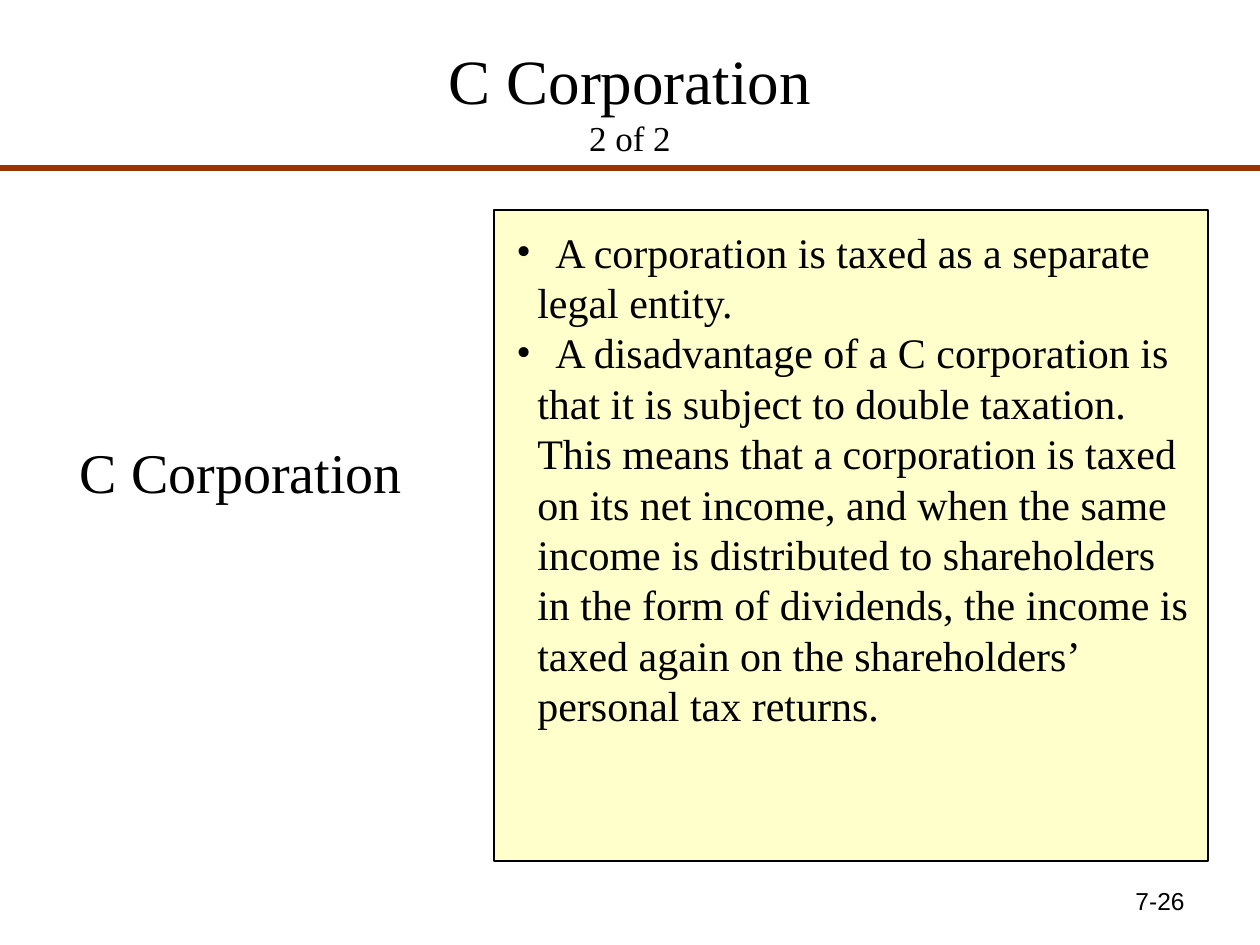
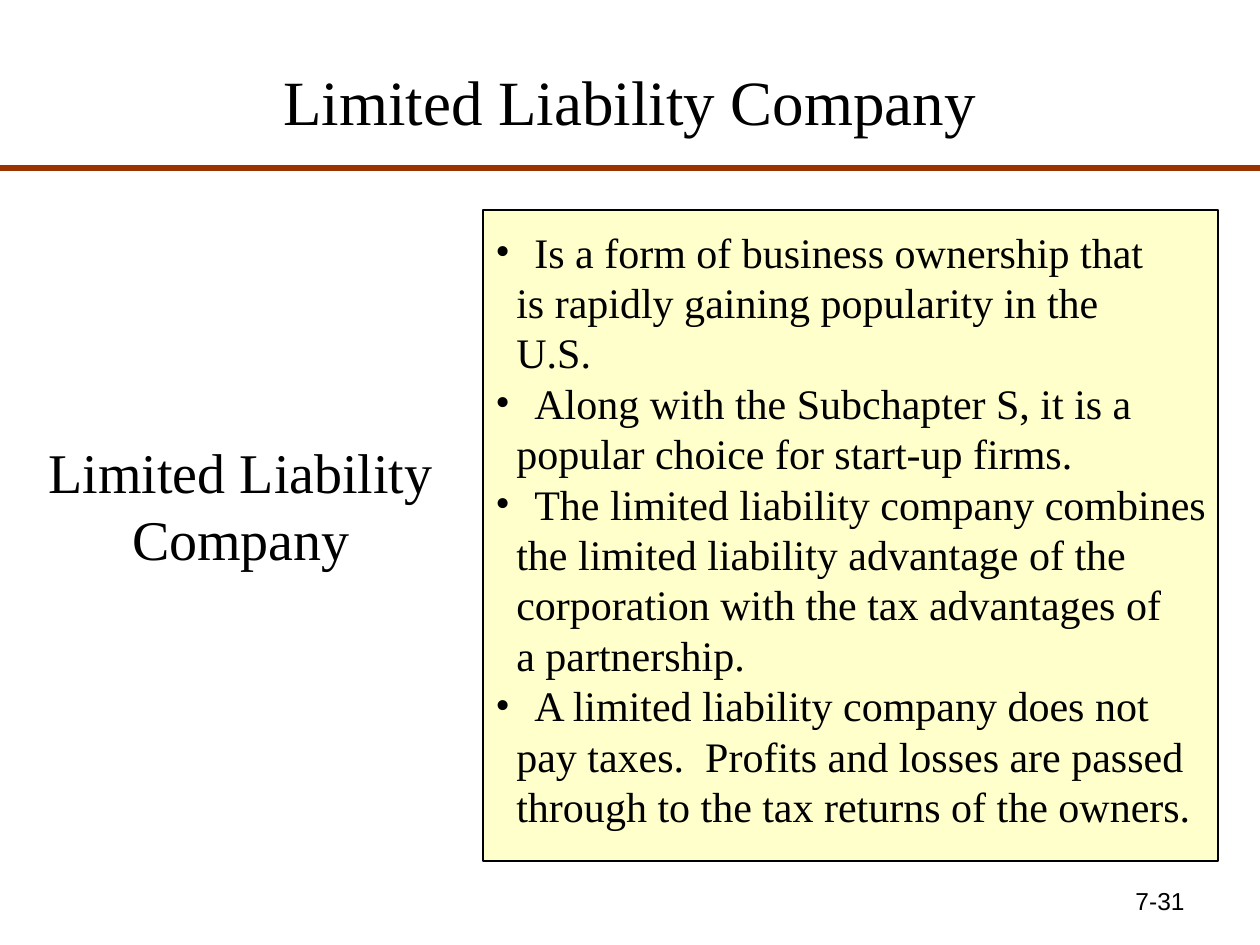
from pptx import Presentation
from pptx.dml.color import RGBColor as RGB
from pptx.enum.shapes import MSO_CONNECTOR as CONNECTOR, MSO_SHAPE as SHAPE
from pptx.enum.text import MSO_ANCHOR as ANCHOR, PP_ALIGN as ALIGN
from pptx.oxml.ns import qn
from pptx.util import Emu, Pt
from lxml.etree import SubElement

COLORS = {"ink": "000000", "rule": "993300", "panel": "FFFFCC"}
SERIF, SANS = "Times New Roman", "Arial"
EMU_PER_PX = 914400 / 126
HANG, BULLET_HANG = 21, 39


def px(length):
    """Turn pixels into EMU."""
    return Emu(round(length * EMU_PER_PX))


class Deck:
    """Hold the style and the slide being built."""

    def __init__(self):
        """Start a 10 by 7.5 inch presentation."""
        self.prs = Presentation()
        self.prs.slide_width, self.prs.slide_height = px(1260), px(945)
        self.slide = None

    def new_slide(self):
        """Add a blank slide and make it current."""
        self.slide = self.prs.slides.add_slide(self.prs.slide_layouts[6])

    def frame(self, x, y, w, h, anchor=ANCHOR.TOP):
        """Add a wrapping text box and return its text frame."""
        frame = self.slide.shapes.add_textbox(px(x), px(y), px(w), px(h)).text_frame
        frame.word_wrap = True
        frame.vertical_anchor = anchor
        return frame

    def paragraph(self, frame, text, size, align=ALIGN.LEFT, font=SERIF, hang=0, bullet=False):
        """Add one paragraph, using the empty first one if it is free."""
        first = frame.paragraphs[0]
        line = frame.add_paragraph() if first.runs else first
        line.alignment = align
        line.line_spacing = Pt(size * 1.2)
        props = line._p.get_or_add_pPr()
        props.set("marL", str(px(hang)))
        props.set("indent", str(-px(hang) if bullet else 0))
        if bullet:
            SubElement(props, qn("a:buFont")).set("typeface", SERIF)
            SubElement(props, qn("a:buChar")).set("char", "•")
        run = line.add_run()
        run.text = text
        run.font.size = Pt(size)
        run.font.name = font
        run.font.color.rgb = RGB.from_string(COLORS["ink"])

    def title(self, heading, part=None):
        """Add the centred title, with an optional part count below it."""
        frame = self.frame(63, 21, 1134, 158, ANCHOR.MIDDLE)
        self.paragraph(frame, heading, 36, ALIGN.CENTER)
        if part:
            self.paragraph(frame, part, 20, ALIGN.CENTER)

    def rule(self):
        """Draw the line under the title."""
        rule = self.slide.shapes.add_connector(
            CONNECTOR.STRAIGHT, px(0), px(168), px(1260), px(168))
        rule.line.color.rgb = RGB.from_string(COLORS["rule"])
        rule.line.width = Pt(3)
        SubElement(rule._element.spPr, qn("a:effectLst"))

    def topic(self, text, height):
        """Add the large topic name on the left."""
        self.paragraph(self.frame(0, 431, 482, height), text, 32, ALIGN.CENTER)

    def panel(self, x, w):
        """Draw the pale panel behind the points."""
        panel = self.slide.shapes.add_shape(SHAPE.RECTANGLE, px(x), px(210), px(w), px(651))
        panel.shadow.inherit = False
        panel.fill.solid()
        panel.fill.fore_color.rgb = RGB.from_string(COLORS["panel"])
        panel.line.color.rgb = RGB.from_string(COLORS["ink"])
        panel.line.width = Pt(0.75)

    def points(self, x, height, points):
        """Add bulleted points, each a list of lines."""
        frame = self.frame(x, 220, 756, height)
        for opening, *rest in points:
            self.paragraph(frame, opening, 24, hang=BULLET_HANG, bullet=True)
            for line in rest:
                self.paragraph(frame, line, 24, hang=HANG)

    def page_number(self, number):
        """Add the page number at the lower right."""
        self.paragraph(self.frame(903, 880, 294, 65), number, 14, ALIGN.RIGHT, SANS)


PAGES = [
    {
        "heading": "C Corporation", "part": "2 of 2", "number": "7-26",
        "topic_height": 81, "panel": (494, 714), "points_box": (504, 517),
        "points": [
            ["A corporation is taxed as a separate", "legal entity."],
            ["A disadvantage of a C corporation is",
             "that it is subject to double taxation.",
             "This means that a corporation is taxed",
             "on its net income, and when the same",
             "income is distributed to shareholders",
             "in the form of dividends, the income is",
             "taxed again on the shareholders’",
             "personal tax returns."],
        ],
    },
    {
        "heading": "Limited Liability Company", "part": None, "number": "7-31",
        "topic_height": 147, "panel": (483, 735), "points_box": (483, 617),
        "points": [
            ["Is a form of business ownership that",
             "is rapidly gaining popularity in the", "U.S."],
            ["Along with the Subchapter S, it is a",
             "popular choice for start-up firms."],
            ["The limited liability company combines",
             "the limited liability advantage of the",
             "corporation with the tax advantages of", "a partnership."],
            ["A limited liability company does not",
             "pay taxes.  Profits and losses are passed",
             "through to the tax returns of the owners."],
        ],
    },
]


def main():
    """Build both slides and save them."""
    deck = Deck()
    for page in PAGES:
        deck.new_slide()
        deck.title(page["heading"], page["part"])
        deck.rule()
        deck.topic(page["heading"], page["topic_height"])
        deck.panel(*page["panel"])
        deck.points(*page["points_box"], page["points"])
        deck.page_number(page["number"])
    deck.prs.save("out.pptx")


if __name__ == "__main__":
    main()
